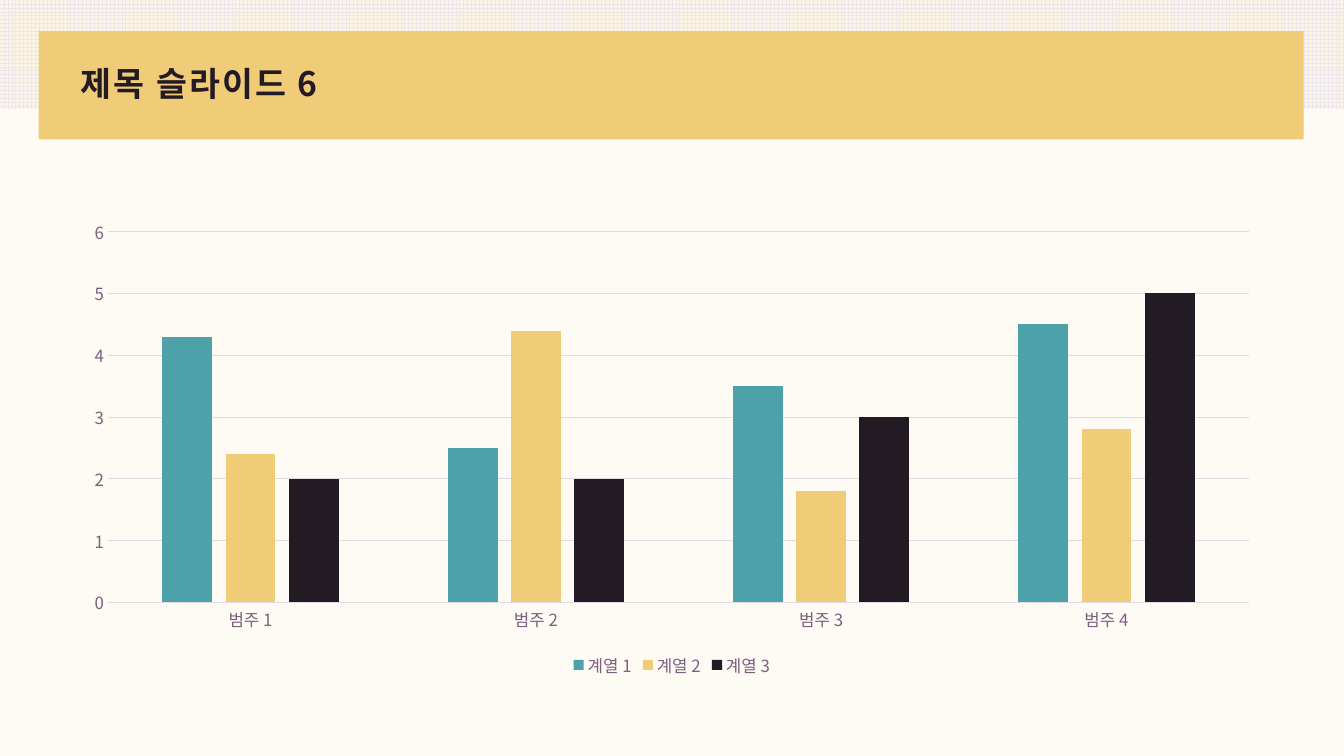
from dataclasses import dataclass

from lxml import etree
from pptx import Presentation
from pptx import util as u
from pptx.chart import data as chart_data
from pptx.dml import color as dml
from pptx.enum import chart as ch, dml as fills, shapes, text
from pptx.oxml import ns


@dataclass(frozen=True)
class Theme:
    paper: str = "FEFBF5"
    cream: str = "FCF5E5"
    mesh: str = "EBE6EB"
    gold: str = "F0CC79"
    teal: str = "4DA1A8"
    ink: str = "231B23"
    label: str = "7C5F7C"
    grid: str = "E2D9E2"
    title_font: str = "Noto Sans CJK KR"
    chart_font: str = "Noto Sans CJK JP"
    title_size: int = 24
    label_size: int = 12
    grid_width: float = 0.75


@dataclass(frozen=True)
class Box:
    left: float
    top: float
    width: float
    height: float

    def lengths(self) -> tuple:
        return tuple(u.Pt(v) for v in (self.left, self.top, self.width, self.height))


@dataclass(frozen=True)
class Series:
    name: str
    values: tuple
    color: str


THEME = Theme()
SLIDE_WIDTH, SLIDE_HEIGHT = 960, 540
MESH_BAND = Box(0, 0, SLIDE_WIDTH, 77.76)
TITLE_BAND = Box(27.6, 22.3, 903.6, 77.2)
TITLE = Box(50.4, 38.2, 859, 46)
CHART = Box(50.4, 149.8, 859, 337)

CATEGORIES = [f"범주 {n}" for n in range(1, 5)]
SERIES = [
    Series("계열 1", (4.3, 2.5, 3.5, 4.5), THEME.teal),
    Series("계열 2", (2.4, 4.4, 1.8, 2.8), THEME.gold),
    Series("계열 3", (2, 2, 3, 5), THEME.ink),
]


def rgb(code: str) -> dml.RGBColor:
    return dml.RGBColor.from_string(code)


def add_east_asian(properties, typeface: str) -> None:
    """Use the typeface for Hangul as well as Latin text."""
    latin = properties.find(ns.qn("a:latin"))
    east_asian = etree.Element(ns.qn("a:ea"), typeface=typeface)
    latin.addnext(east_asian)


def add_band(slide, box: Box):
    band = slide.shapes.add_shape(shapes.MSO_SHAPE.RECTANGLE, *box.lengths())
    band.shadow.inherit = False
    band.line.fill.background()
    return band


def add_title(slide, box: Box, wording: str) -> None:
    frame = slide.shapes.add_textbox(*box.lengths()).text_frame
    frame.word_wrap = True
    frame.vertical_anchor = text.MSO_ANCHOR.MIDDLE
    paragraph = frame.paragraphs[0]
    paragraph.line_spacing = 0.9
    run = paragraph.add_run()
    run.text = wording
    run.font.name = THEME.title_font
    run.font.size = u.Pt(THEME.title_size)
    run.font.bold = True
    run.font.color.rgb = rgb(THEME.ink)
    properties = run._r.get_or_add_rPr()
    properties.set("spc", "150")
    add_east_asian(properties, THEME.title_font)


def style_labels(font) -> None:
    font.name = THEME.chart_font
    font.size = u.Pt(THEME.label_size)
    font.color.rgb = rgb(THEME.label)


def style_line(line) -> None:
    line.color.rgb = rgb(THEME.grid)
    line.width = u.Pt(THEME.grid_width)


def add_series_chart(slide, box: Box) -> None:
    source = chart_data.CategoryChartData()
    source.categories = CATEGORIES
    for series in SERIES:
        source.add_series(series.name, series.values)
    chart = slide.shapes.add_chart(
        ch.XL_CHART_TYPE.COLUMN_CLUSTERED, *box.lengths(), source
    ).chart
    chart.has_title = False

    # Columns
    plot = chart.plots[0]
    plot.gap_width, plot.overlap = 219, -27
    plot.vary_by_categories = False
    for column, series in zip(plot.series, SERIES):
        column.format.fill.solid()
        column.format.fill.fore_color.rgb = rgb(series.color)

    # Axes and gridlines
    for axis in (chart.category_axis, chart.value_axis):
        axis.major_tick_mark = axis.minor_tick_mark = ch.XL_TICK_MARK.NONE
        style_labels(axis.tick_labels.font)
    style_line(chart.category_axis.format.line)
    values = chart.value_axis
    values.minimum_scale, values.maximum_scale, values.major_unit = 0, 6, 1
    values.format.line.fill.background()
    values.has_major_gridlines = True
    style_line(values.major_gridlines.format.line)

    # Legend
    chart.has_legend = True
    chart.legend.position = ch.XL_LEGEND_POSITION.BOTTOM
    chart.legend.include_in_layout = False
    style_labels(chart.legend.font)

    style_labels(chart.font)
    for properties in chart.element.xpath(".//a:defRPr[a:latin]") if hasattr(
        chart, "element"
    ) else chart._chartSpace.xpath(".//a:defRPr[a:latin]"):
        add_east_asian(properties, THEME.chart_font)


def main() -> None:
    deck = Presentation()
    deck.slide_width, deck.slide_height = u.Pt(SLIDE_WIDTH), u.Pt(SLIDE_HEIGHT)
    slide = deck.slides.add_slide(deck.slide_layouts[6])
    slide.background.fill.solid()
    slide.background.fill.fore_color.rgb = rgb(THEME.paper)

    # Header bands
    mesh = add_band(slide, MESH_BAND).fill
    mesh.patterned()
    mesh.pattern = fills.MSO_PATTERN.LARGE_GRID
    mesh.fore_color.rgb = rgb(THEME.mesh)
    mesh.back_color.rgb = rgb(THEME.cream)
    gold = add_band(slide, TITLE_BAND).fill
    gold.solid()
    gold.fore_color.rgb = rgb(THEME.gold)

    # Content
    add_title(slide, TITLE, "제목 슬라이드 6")
    add_series_chart(slide, CHART)
    deck.save("out.pptx")


if __name__ == "__main__":
    main()
